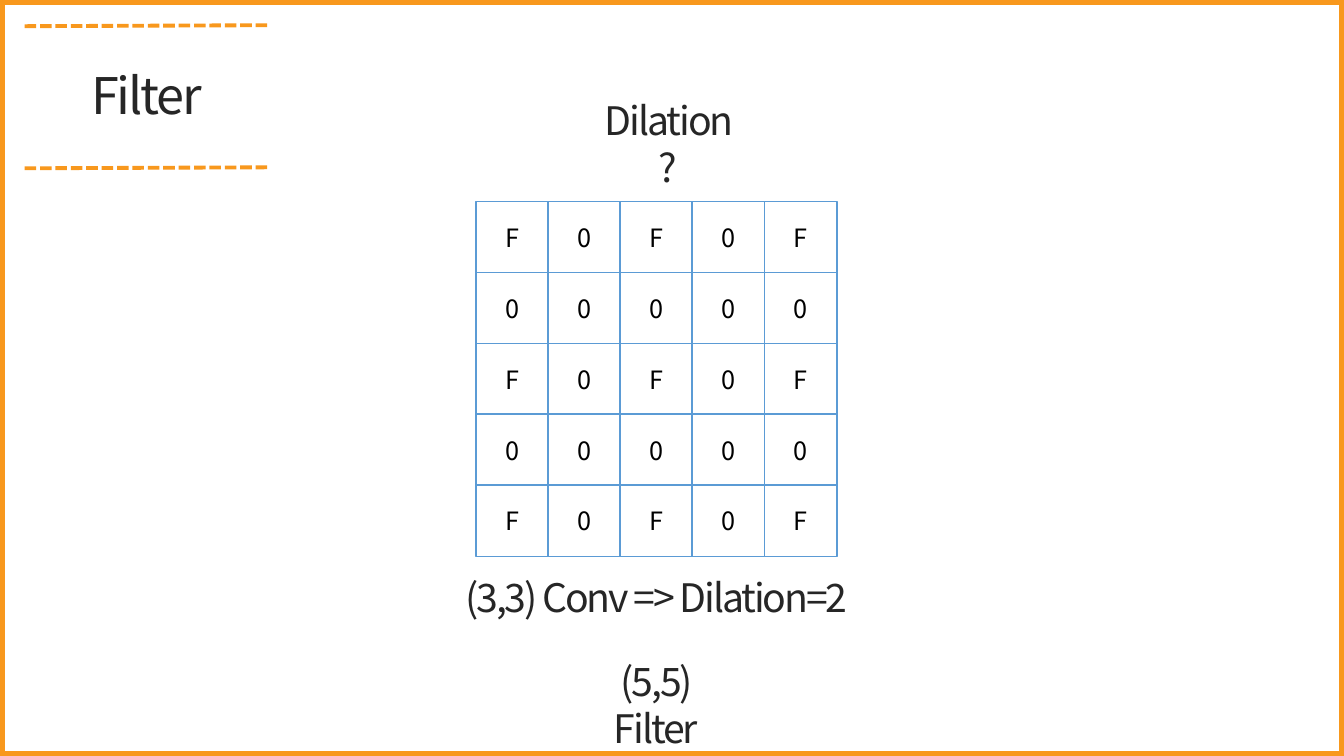
from pptx import Presentation
from pptx.dml.color import RGBColor
from pptx.enum.dml import MSO_LINE_DASH_STYLE as Dash
from pptx.enum.shapes import MSO_CONNECTOR as Connector, MSO_SHAPE as Shape
from pptx.enum.text import MSO_ANCHOR as Anchor, MSO_AUTO_SIZE as AutoSize, PP_ALIGN as Align
from pptx.oxml.xmlchemy import OxmlElement
from pptx.util import Inches, Pt

FONT = "Noto Sans CJK KR"
ORANGE, BLUE, WHITE, BLACK, INK = "F8981D", "5B9BD5", "FFFFFF", "000000", "262626"

KERNEL_SIZE, DILATION = 3, 2
GRID_SIZE = DILATION * (KERNEL_SIZE - 1) + 1
GRID_LEFT, GRID_TOP = 4.72, 2.0
CELL_WIDTH, CELL_HEIGHT = 0.72, 0.71
COLUMN_STEP, ROW_STEP = 0.715, 0.703


def color(hex_code):
    return RGBColor.from_string(hex_code)


def write(frame, text, size, ink, spacing=0):
    paragraph = frame.paragraphs[0]
    paragraph.alignment = Align.CENTER
    run = paragraph.add_run()
    run.text = text
    run.font.name = FONT
    run.font.size = Pt(size)
    run.font.color.rgb = color(ink)
    if spacing:
        run.font._element.set("spc", str(round(spacing * 100)))


def add_box(slide, left, top, width, height, outline, weight, fill=None):
    box = slide.shapes.add_shape(
        Shape.RECTANGLE, Inches(left), Inches(top), Inches(width), Inches(height))
    box.shadow.inherit = False
    box.line.color.rgb = color(outline)
    box.line.width = Pt(weight)
    if fill:
        box.fill.solid()
        box.fill.fore_color.rgb = color(fill)
    else:
        box.fill.background()
    return box


def add_cell(slide, row, column):
    cell = add_box(slide, GRID_LEFT + column * COLUMN_STEP, GRID_TOP + row * ROW_STEP,
                   CELL_WIDTH, CELL_HEIGHT, BLUE, 1, WHITE)
    cell.text_frame.vertical_anchor = Anchor.MIDDLE
    is_weight = row % DILATION == 0 and column % DILATION == 0
    write(cell.text_frame, "F" if is_weight else "0", 18, BLACK)


def add_dashes(slide, top):
    dashes = slide.shapes.add_connector(
        Connector.STRAIGHT, Inches(2.65), Inches(top), Inches(0.23), Inches(top + 0.01))
    dashes.line.color.rgb = color(ORANGE)
    dashes.line.width = Pt(2.75)
    dashes.line.dash_style = Dash.SQUARE_DOT
    dashes._element.spPr.append(OxmlElement("a:effectLst"))


def add_label(slide, text, left, top, width, height, size=28):
    label = slide.shapes.add_textbox(
        Inches(left), Inches(top), Inches(width), Inches(height))
    label.text_frame.word_wrap = True
    label.text_frame.auto_size = AutoSize.SHAPE_TO_FIT_TEXT
    write(label.text_frame, text, size, INK, spacing=-1.5)


def main():
    deck = Presentation()
    deck.slide_width, deck.slide_height = Inches(13.33), Inches(7.5)
    slide = deck.slides.add_slide(deck.slide_layouts[6])

    # Slide frame and title
    add_box(slide, 0.02, 0.02, 13.29, 7.46, ORANGE, 3.75)
    for top in (1.66, 0.25):
        add_dashes(slide, top)
    add_label(slide, "Filter", -0.07, 0.59, 3.05, 0.71, size=36)

    # Dilated filter: weights on every second row and column
    add_label(slide, "Dilation?", 5.84, 0.91, 1.57, 0.57)
    for row in range(GRID_SIZE):
        for column in range(GRID_SIZE):
            add_cell(slide, row, column)

    # Captions
    add_label(slide, "(3,3) Conv => Dilation=2", 4.42, 5.64, 4.18, 0.57)
    add_label(slide, "(5,5) Filter", 5.65, 6.47, 1.71, 0.57)

    deck.save("out.pptx")


if __name__ == "__main__":
    main()
